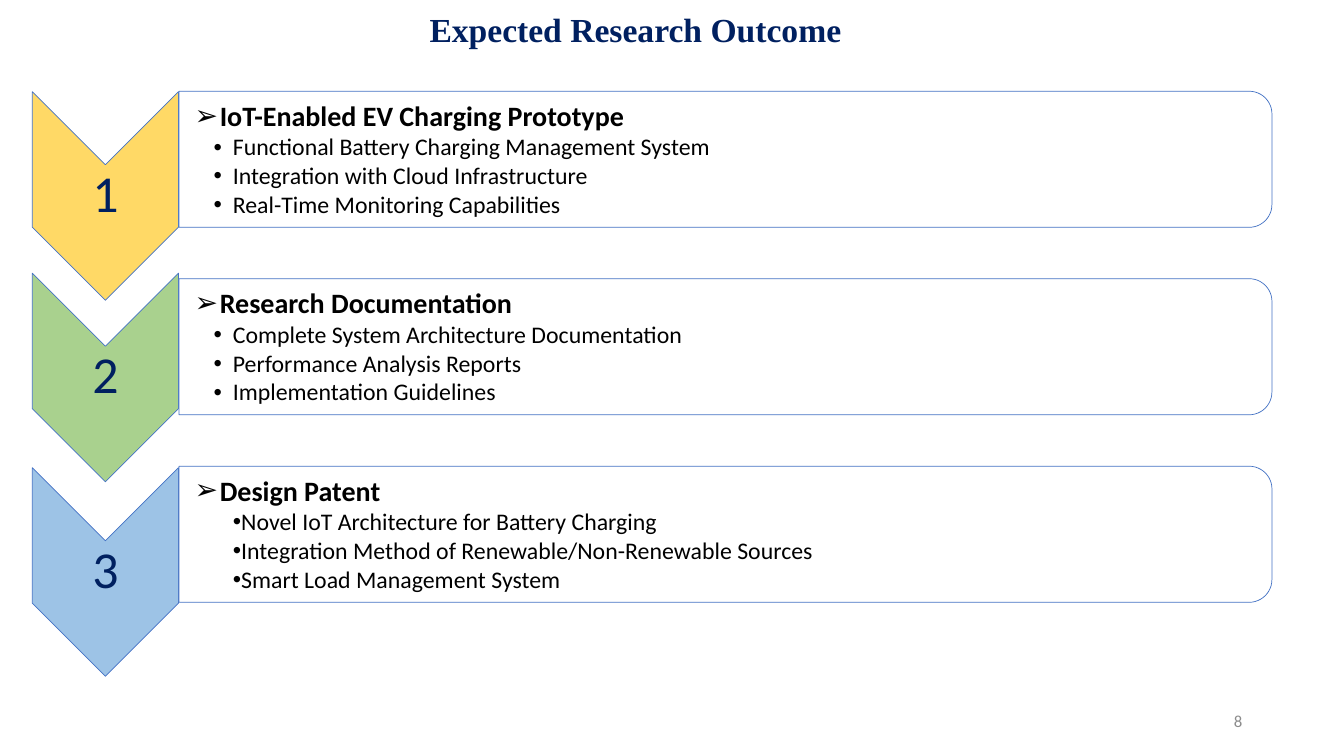
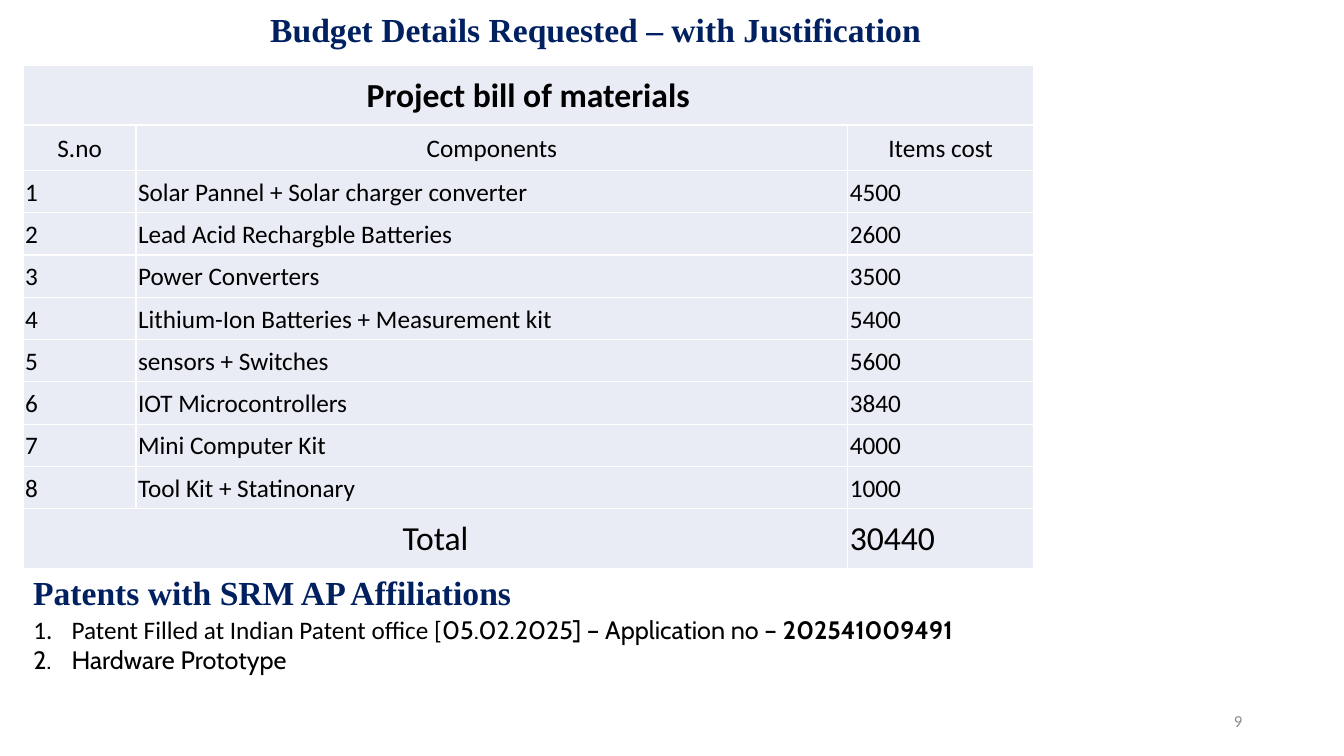
"""Build the research outcome and budget slides."""
from lxml.etree import SubElement as Sub
from pptx import Presentation
from pptx.dml.color import RGBColor as RGB
from pptx.enum.shapes import MSO_SHAPE as Shape
from pptx.enum.text import MSO_ANCHOR as Anchor, MSO_AUTO_SIZE as Auto, PP_ALIGN as Align
from pptx.oxml.ns import qn
from pptx.util import Inches, Pt

HUE = {"navy": "002060", "black": "000000", "gray": "8C8C8C", "white": "FFFFFF",
       "edge": "4472C4", "cell": "E9EBF5",
       "gold": "FFD966", "green": "A9D18E", "blue": "9DC3E6"}
SERIF, SANS, ALT = "Times New Roman", "Calibri", "Cabin"


def style(para, size, hue="black", bold=False, font=SANS, align=Align.LEFT):
    para.alignment = align
    para.space_before = Pt(0)
    for run in para.runs:
        run.font.size = Pt(size)
        run.font.bold = bold
        run.font.name = font
        run.font.color.rgb = RGB.from_string(HUE[hue])


def mark(para, left, hang, tag, **attrs):
    prop = para._p.get_or_add_pPr()
    prop.set("marL", str(Inches(left)))
    prop.set("indent", str(Inches(-hang)))
    Sub(prop, qn("a:buFont"), typeface="Arial" if tag == "a:buChar" else SANS)
    Sub(prop, qn(tag), **attrs)


prs = Presentation()
prs.slide_width, prs.slide_height = Inches(13.33), Inches(7.5)

pages = [
    (5, "Expected Research Outcome", 4.16, 4.43, "8"),
    (1, "Budget Details Requested – with Justification", 2.58, 10.41, "9"),
]
for layout, text, left, width, num in pages:
    slide = prs.slides.add_slide(prs.slide_layouts[layout])
    title = slide.shapes.title
    title.left, title.top = Inches(left), Inches(0.04)
    title.width, title.height = Inches(width), Inches(0.5)
    frame = title.text_frame
    frame.text = text
    frame.auto_size = Auto.NONE
    frame.vertical_anchor = Anchor.TOP
    style(frame.paragraphs[0], 24, "navy", True, SERIF)

    foot = slide.shapes.add_textbox(Inches(9.42), Inches(6.95), Inches(3), Inches(0.4))
    frame = foot.text_frame
    frame.text = num
    frame.word_wrap = True
    frame.vertical_anchor = Anchor.MIDDLE
    style(frame.paragraphs[0], 12, "gray", align=Align.RIGHT)

goals, budget = prs.slides

cards = [
    ("gold", 1.22, 0.19, ["IoT-Enabled EV Charging Prototype",
                          "Functional Battery Charging Management System",
                          "Integration with Cloud Infrastructure",
                          "Real-Time Monitoring Capabilities"]),
    ("green", 3.02, 0.19, ["Research Documentation",
                           "Complete System Architecture Documentation",
                           "Performance Analysis Reports",
                           "Implementation Guidelines"]),
    ("blue", 4.95, 0, ["Design Patent",
                       "Novel IoT Architecture for Battery Charging",
                       "Integration Method of Renewable/Non-Renewable Sources",
                       "Smart Load Management System"]),
]
for i, (hue, top, hang, lines) in enumerate(cards):
    down = 1.86 * i
    arrow = goals.shapes.add_shape(
        Shape.CHEVRON, Inches(0.01), Inches(top), Inches(2.07), Inches(1.45))
    panel = goals.shapes.add_shape(
        Shape.ROUND_2_SAME_RECTANGLE,
        Inches(6.52), Inches(down - 3.84), Inches(1.35), Inches(10.84))
    for shape, fill in ((arrow, hue), (panel, "white")):
        shape.rotation = 90
        shape.shadow.inherit = False
        shape.fill.solid()
        shape.fill.fore_color.rgb = RGB.from_string(HUE[fill])
        shape.line.color.rgb = RGB.from_string(HUE["edge"])
        shape.line.width = Pt(0.5)
    tint = panel._element.spPr.find(qn("a:solidFill"))[0]
    Sub(tint, qn("a:alpha"), val="90000")

    badge = goals.shapes.add_textbox(
        Inches(0.32), Inches(top + 0.41), Inches(1.45), Inches(0.62))
    frame = badge.text_frame
    frame.text = str(i + 1)
    frame.word_wrap = True
    frame.vertical_anchor = Anchor.MIDDLE
    frame.margin_left = frame.margin_right = Inches(0.03)
    frame.margin_top = frame.margin_bottom = Inches(0.03)
    style(frame.paragraphs[0], 37, "navy", align=Align.CENTER)
    frame.paragraphs[0].line_spacing = 0.9

    card = goals.shapes.add_textbox(
        Inches(1.77), Inches(0.98 + down), Inches(10.77), Inches(1.22))
    frame = card.text_frame
    frame.text = "\n".join(lines)
    frame.word_wrap = True
    frame.vertical_anchor = Anchor.MIDDLE
    frame.margin_left = Inches(0.16)
    frame.margin_right = frame.margin_top = frame.margin_bottom = Inches(0.01)
    for j, para in enumerate(frame.paragraphs):
        if j == 0:
            mark(para, 0.25, 0.25, "a:buChar", char="➢")
            style(para, 20, bold=True)
        else:
            mark(para, 0.38, hang, "a:buChar", char="•")
            style(para, 17)
        para.line_spacing = 0.9
        para.space_after = Pt(2.2)

items = [
    ("Solar Pannel + Solar charger converter", 4500),
    ("Lead Acid Rechargble Batteries", 2600),
    ("Power Converters", 3500),
    ("Lithium-Ion Batteries + Measurement kit", 5400),
    ("sensors + Switches", 5600),
    ("IOT Microcontrollers", 3840),
    ("Mini Computer Kit", 4000),
    ("Tool Kit + Statinonary", 1000),
]
rows = [("Project bill of materials", "", ""), ("S.no", "Components", "Items cost")]
rows += [(n, name, cost) for n, (name, cost) in enumerate(items, 1)]
rows.append(("Total", "", sum(cost for name, cost in items)))
last = len(rows) - 1

table = budget.shapes.add_table(
    len(rows), 3, Inches(0.23), Inches(0.65), Inches(10.02), Inches(4.97)).table
table.first_row = table.horz_banding = False
for col, width in zip(table.columns, (1.12, 7.06, 1.84)):
    col.width = Inches(width)
table.cell(0, 0).merge(table.cell(0, 2))
table.cell(last, 0).merge(table.cell(last, 1))
for r, row in enumerate(rows):
    table.rows[r].height = Inches({0: 0.59, 1: 0.45, last: 0.59}.get(r, 0.42))
    for c, text in enumerate(row):
        cell = table.cell(r, c)
        cell.fill.solid()
        cell.fill.fore_color.rgb = RGB.from_string(HUE["cell"])
        cell.vertical_anchor = Anchor.MIDDLE
        cell.margin_left = cell.margin_right = cell.margin_top = Inches(0.02)
        cell.margin_bottom = 0
        cell.text = str(text)
        mid = r < 2 or (r == last and c == 0)
        style(cell.text_frame.paragraphs[0], 24 if r in (0, last) else 18,
              bold=r == 0, align=Align.CENTER if mid else Align.LEFT)

head = budget.shapes.add_textbox(Inches(0.23), Inches(5.62), Inches(10.41), Inches(0.5))
head.text_frame.text = "Patents with SRM AP Affiliations"
head.text_frame.word_wrap = True
style(head.text_frame.paragraphs[0], 24, "navy", True, SERIF)

body = budget.placeholders[1]
body.left, body.top = Inches(0.23), Inches(6.04)
body.width, body.height = Inches(10.51), Inches(0.71)
frame = body.text_frame
frame.auto_size = Auto.NONE
frame.text = "Patent Filled at Indian Patent office [\nHardware Prototype"
first, second = frame.paragraphs
for para in (first, second):
    mark(para, 0.38, 0.38, "a:buAutoNum", type="arabicPeriod")
for text in ("05.02.2025] – Application no – ", "202541009491"):
    first.add_run().text = text
style(first, 18, font=ALT)
style(second, 18, font=ALT)
first.runs[0].font.name = SANS
first.runs[2].font.bold = True

prs.save("out.pptx")
